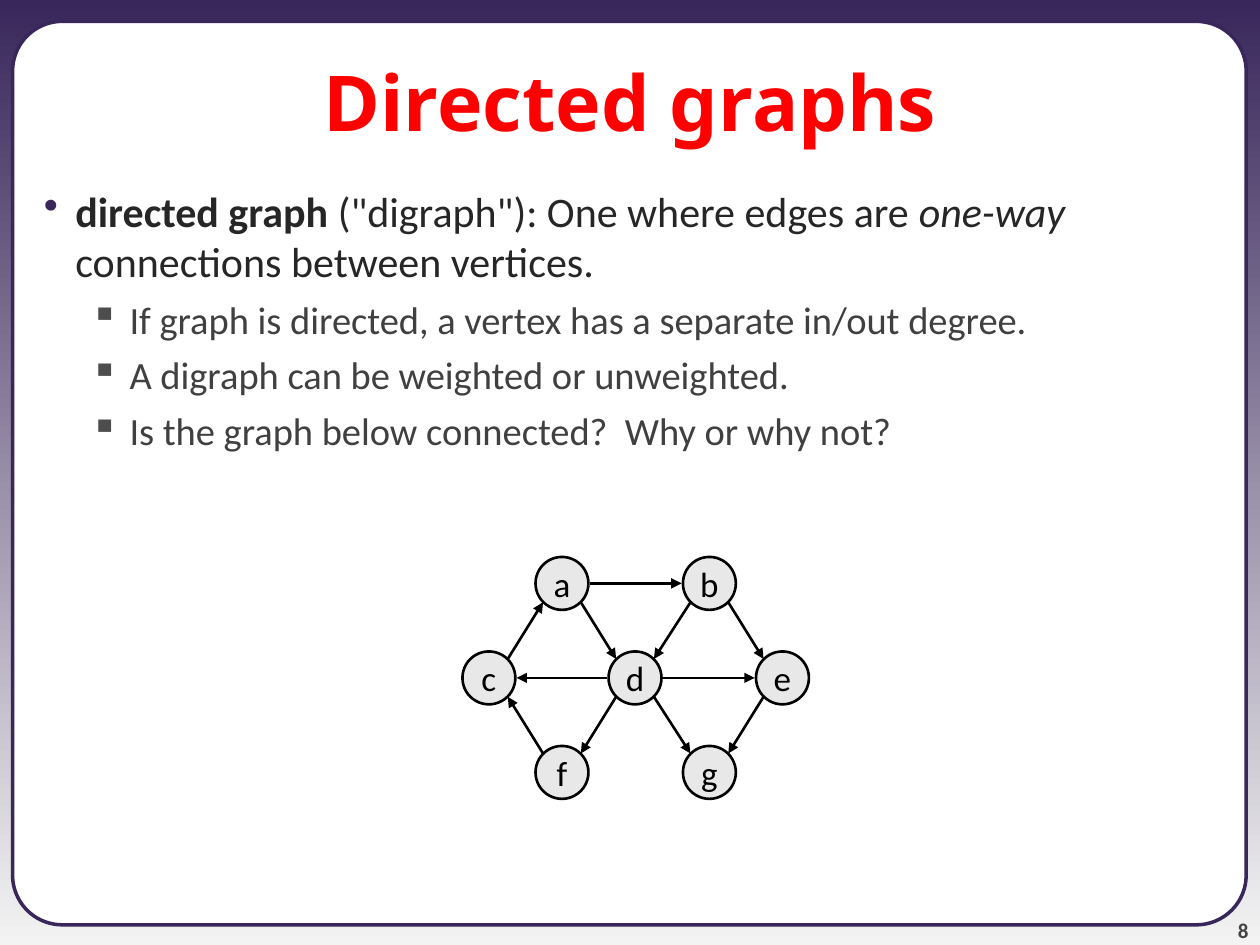
from lxml import etree
from pptx import Presentation
from pptx import util as u
from pptx.dml.color import RGBColor
from pptx.enum import shapes, text
from pptx.oxml import ns

COLORS = {
    "frame": "39275B", "fade": "F3F3F3", "panel": "FFFFFF", "title": "FF0000",
    "lead": "262626", "point": "404040", "mark": "4D4D4D", "page": "424242",
    "node": "E8E8E8", "ink": "000000",
}
SIZE = 0.42
NODES = {
    "a": (4.46, 4.63), "b": (5.63, 4.63),
    "c": (3.88, 5.38), "d": (5.04, 5.38), "e": (6.21, 5.38),
    "f": (4.46, 6.13), "g": (5.63, 6.13),
}
EDGES = "ab ad bd be ca dc de df dg eg fc".split()
LEAD = [
    ("directed graph ", True, False),
    ('("digraph"): One where edges are ', False, False),
    ("one-way", False, True),
    (" connections between vertices.", False, False),
]
POINTS = [
    "If graph is directed, a vertex has a separate in/out degree.",
    "A digraph can be weighted or unweighted.",
    "Is the graph below connected?  Why or why not?",
]


def color(key):
    return RGBColor.from_string(COLORS[key])


def style(run, size, key, bold=False, face="Calibri", slant=False):
    font = run.font
    font.name, font.size = face, u.Pt(size)
    font.bold, font.italic = bold, slant
    font.color.rgb = color(key)


def add_box(slide, left, top, width, height):
    box = slide.shapes.add_textbox(*map(u.Inches, (left, top, width, height)))
    box.text_frame.word_wrap = True
    return box.text_frame


def add_label(frame, words, align, anchor, size, key, **looks):
    frame.text = words
    frame.vertical_anchor = anchor
    para = frame.paragraphs[0]
    para.alignment = align
    style(para.runs[0], size, key, **looks)


def add_bullet(para, mark, key, left, hang):
    props = para._p.get_or_add_pPr()
    props.set("marL", str(u.Inches(left)))
    props.set("indent", str(-u.Inches(hang)))
    tint = etree.SubElement(props, ns.qn("a:buClr"))
    etree.SubElement(tint, ns.qn("a:srgbClr"), val=COLORS[key])
    etree.SubElement(props, ns.qn("a:buChar"), char=mark)


def add_shape(slide, kind, left, top, width, height, fill, line, weight):
    shape = slide.shapes.add_shape(kind, *map(u.Inches, (left, top, width, height)))
    shape.shadow.inherit = False
    shape.fill.solid()
    shape.fill.fore_color.rgb = color(fill)
    shape.line.color.rgb = color(line)
    shape.line.width = u.Pt(weight)
    return shape


def add_back(slide):
    fill = slide.background.fill
    fill.gradient()
    fill.gradient_angle = 270
    for stop, key, place in zip(fill.gradient_stops, ("frame", "fade"), (0, 1)):
        stop.color.rgb = color(key)
        stop.position = place
    panel = add_shape(slide, shapes.MSO_SHAPE.ROUNDED_RECTANGLE,
                      0.1, 0.17, 9.79, 7.17, "panel", "frame", 2)
    panel.adjustments[0] = 0.055


def add_body(slide):
    frame = add_box(slide, 0, 1.42, 10, 6.08)
    para = frame.paragraphs[0]
    add_bullet(para, "•", "frame", 0.5, 0.25)
    for words, bold, slant in LEAD:
        run = para.add_run()
        run.text = words
        style(run, 24, "lead", bold=bold, slant=slant)
    for words in POINTS:
        para = frame.add_paragraph()
        para.text = words
        para.level = 1
        para.space_before = u.Pt(5.5)
        add_bullet(para, "▪", "mark", 0.93, 0.31)
        style(para.runs[0], 22, "point")


def add_node(slide, name):
    x, y = NODES[name]
    node = add_shape(slide, shapes.MSO_SHAPE.OVAL, x - SIZE / 2, y - SIZE / 2,
                     SIZE, SIZE, "node", "ink", 1.5)
    node.text_frame.word_wrap = False
    add_label(node.text_frame, name, text.PP_ALIGN.CENTER,
              text.MSO_ANCHOR.MIDDLE, 20, "ink")


def add_edge(slide, start, end):
    (x1, y1), (x2, y2) = NODES[start], NODES[end]
    flat = y1 == y2
    dx = (0.22 if flat else 0.15) * (1 if x2 > x1 else -1)
    dy = 0 if flat else 0.15 * (1 if y2 > y1 else -1)
    ends = (x1 + dx, y1 + dy, x2 - dx, y2 - dy)
    edge = slide.shapes.add_connector(shapes.MSO_CONNECTOR.STRAIGHT,
                                      *map(u.Inches, ends))
    edge.line.color.rgb = color("ink")
    edge.line.width = u.Pt(1.5)
    etree.SubElement(edge.line._get_or_add_ln(), ns.qn("a:tailEnd"), type="triangle")
    etree.SubElement(edge._element.spPr, ns.qn("a:effectLst"))


def main():
    deck = Presentation()
    deck.slide_width, deck.slide_height = u.Inches(10), u.Inches(7.5)
    slide = deck.slides.add_slide(deck.slide_layouts[6])
    add_back(slide)
    page = add_box(slide, 9.08, 7.08, 0.83, 0.4)
    page.margin_left = page.margin_right = page.margin_top = page.margin_bottom = 0
    add_label(page, "8", text.PP_ALIGN.RIGHT, text.MSO_ANCHOR.BOTTOM,
              12, "page", bold=True)
    add_label(add_box(slide, 0, 0.17, 10, 1.25), "Directed graphs",
              text.PP_ALIGN.CENTER, text.MSO_ANCHOR.MIDDLE, 44, "title",
              bold=True, face="Noto Sans")
    add_body(slide)
    for name in NODES:
        add_node(slide, name)
    for start, end in EDGES:
        add_edge(slide, start, end)
    deck.save("out.pptx")


if __name__ == "__main__":
    main()
